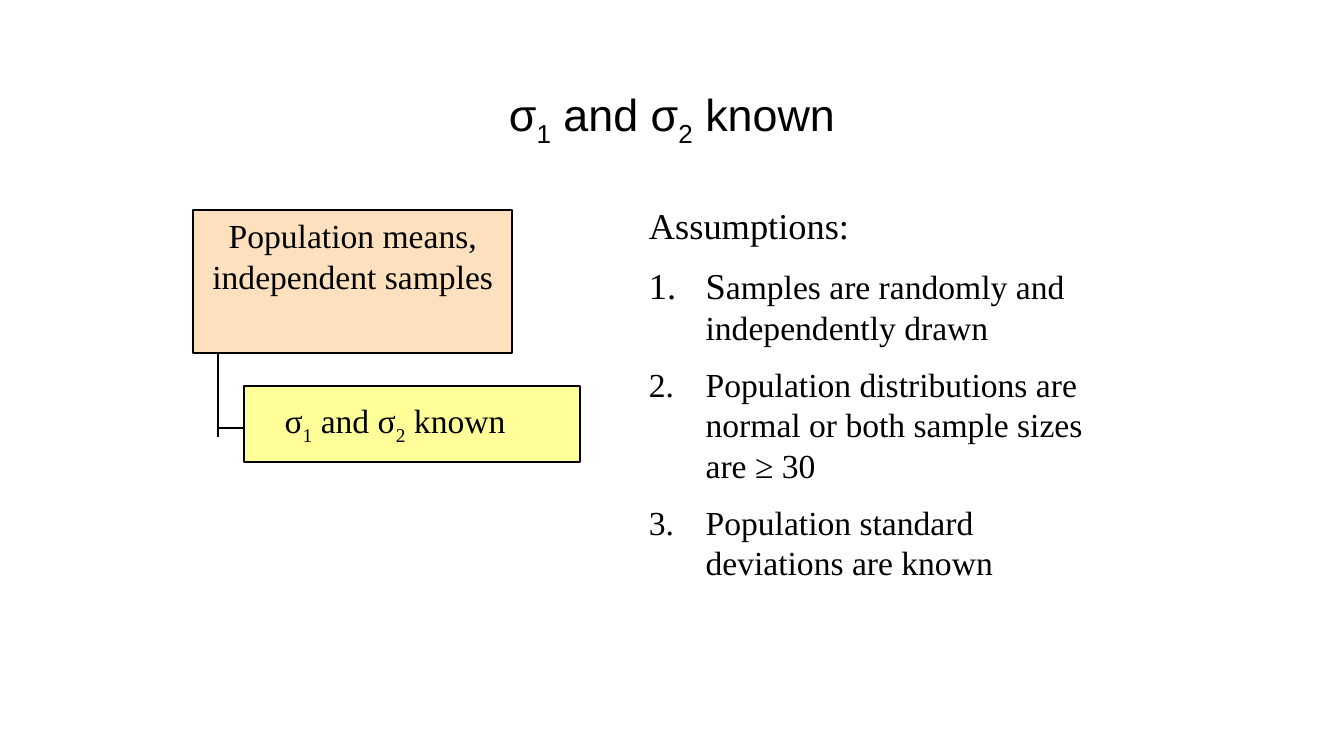
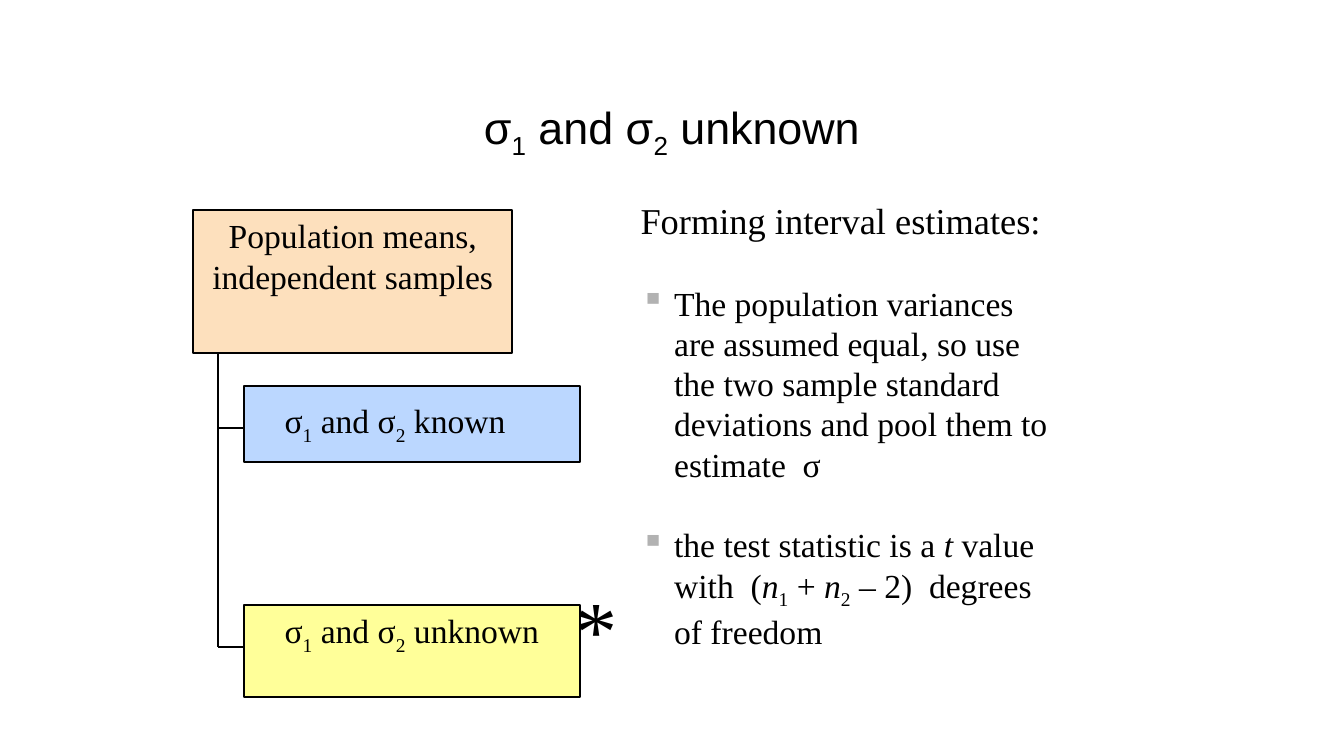
import lxml.etree
import pptx
import pptx.dml.color
import pptx.enum.shapes
import pptx.enum.text
import pptx.oxml.ns
import pptx.util

PX = 9525
COLORS = {
    "ink": "000000",
    "peach": "FDE0BD",
    "yellow": "FFFF99",
    "blue": "BBD7FF",
    "bullet": "B2B2B2",
}
SERIF, SANS = "Times New Roman", "Arial"
ALIGN = pptx.enum.text.PP_ALIGN
ANCHOR = pptx.enum.text.MSO_ANCHOR

SIGMAS = [("σ", ""), ("1", "sub"), (" and σ", ""), ("2", "sub")]
KNOWN = SIGMAS + [(" known", "")]
UNKNOWN = SIGMAS + [(" unknown", "")]

ROOT_TEXT = "Population means, independent samples"
ROOT_BOX = (184, 200, 304, 136)
TRUNK_X, BRANCH_X, BRANCH_W, BRANCH_DROP = 208, 232, 320, 40
BODY_W = 464

SLIDES = [
    {
        "title": KNOWN,
        "title_h": 96,
        "branches": [
            {"runs": KNOWN, "top": 368, "height": 72, "inset": 13, "fill": "yellow"},
        ],
        "trunk_end": 416,
        "body": {
            "box": (608, 188, BODY_W, 374),
            "right": 10,
            "heading": "Assumptions:",
            "items": [
                [("S", "lead"), ("amples are randomly and independently drawn", "")],
                "Population distributions are normal or both sample sizes are ≥ 30",
                "Population standard deviations are known",
            ],
            "numbered": True,
            "hang": 54,
            "before": 6,
            "after": 6,
        },
    },
    {
        "title": UNKNOWN,
        "title_h": 120,
        "branches": [
            {"runs": KNOWN, "top": 368, "height": 72, "inset": 13, "fill": "blue"},
            {"runs": UNKNOWN, "top": 576, "height": 88, "inset": 5, "fill": "yellow"},
        ],
        "trunk_end": 616,
        "body": {
            "box": (600, 184, BODY_W, 443),
            "right": 58,
            "heading": "Forming interval estimates:",
            "items": [
                "The population variances are assumed equal, so use the two sample "
                "standard deviations and pool them to estimate  σ",
                [("the test statistic is a ", ""), ("t", "italic"), (" value with  (", ""),
                 ("n", "italic"), ("1", "sub"), (" + ", ""), ("n", "italic"),
                 ("2", "sub"), (" – 2)  degrees of freedom", "")],
            ],
            "numbered": False,
            "hang": 32,
            "before": 28.8,
            "after": 0,
        },
        "star": (536, 544, 64, 106),
    },
]


def px(*lengths):
    return [pptx.util.Emu(n * PX) for n in lengths]


def rgb(name):
    return pptx.dml.color.RGBColor.from_string(COLORS[name])


def write(p, text, size=24, font=SERIF, align=ALIGN.LEFT, before=0, after=0):
    p.alignment = align
    p.space_before, p.space_after = pptx.util.Pt(before), pptx.util.Pt(after)
    for part, style in [(text, "")] if isinstance(text, str) else text:
        r = p.add_run()
        r.text = part
        r.font.name = font
        r.font.size = pptx.util.Pt(26 if style == "lead" else size)
        r.font.color.rgb = rgb("ink")
        if style == "italic":
            r.font.italic = True
        if style == "sub":
            r.font._element.set("baseline", "-25000")


def frame(sp, left=10, top=5, right=10, anchor=ANCHOR.TOP):
    tf = sp.text_frame
    tf.word_wrap = True
    tf.vertical_anchor = anchor
    tf.margin_left, tf.margin_top, tf.margin_right = px(left, top, right)
    return tf


def add_bullet(p, hang, numbered):
    pPr = p._p.get_or_add_pPr()
    pPr.set("marL", str(hang * PX))
    pPr.set("indent", str(-hang * PX))

    def child(parent, tag, **attrs):
        return lxml.etree.SubElement(parent, pptx.oxml.ns.qn(tag), **attrs)

    if numbered:
        child(pPr, "a:buAutoNum", type="arabicPeriod")
    else:
        child(child(pPr, "a:buClr"), "a:srgbClr", val=COLORS["bullet"])
        child(pPr, "a:buChar", char="▪")


def add_title(slide, runs, height):
    sp = slide.shapes.title
    sp.left, sp.top, sp.width, sp.height = px(232, 64, 816, height)
    tf = frame(sp, anchor=ANCHOR.MIDDLE)
    write(tf.paragraphs[0], runs, size=32, font=SANS, align=ALIGN.CENTER)


def add_box(slide, box, fill, text, align, **margins):
    sp = slide.shapes.add_shape(pptx.enum.shapes.MSO_SHAPE.RECTANGLE, *px(*box))
    sp.shadow.inherit = False
    sp.fill.solid()
    sp.fill.fore_color.rgb = rgb(fill)
    sp.line.color.rgb = rgb("ink")
    sp.line.width = pptx.util.Pt(1.5)
    write(frame(sp, **margins).paragraphs[0], text, align=align)


def add_line(slide, x1, y1, x2, y2):
    line = slide.shapes.add_connector(
        pptx.enum.shapes.MSO_CONNECTOR.STRAIGHT, *px(x1, y1, x2, y2))
    line.line.color.rgb = rgb("ink")
    line.line.width = pptx.util.Pt(1.5)
    lxml.etree.SubElement(line._element.spPr, pptx.oxml.ns.qn("a:effectLst"))


def add_tree(slide, branches, trunk_end):
    add_box(slide, ROOT_BOX, "peach", ROOT_TEXT, ALIGN.CENTER)
    add_line(slide, TRUNK_X, ROOT_BOX[1] + ROOT_BOX[3], TRUNK_X, trunk_end)
    for b in branches:
        add_box(slide, (BRANCH_X, b["top"], BRANCH_W, b["height"]), b["fill"],
                b["runs"], ALIGN.LEFT, left=39, top=b["inset"])
        y = b["top"] + BRANCH_DROP
        add_line(slide, TRUNK_X, y, BRANCH_X, y)


def add_body(slide, body):
    tf = frame(slide.shapes.add_textbox(*px(*body["box"])), right=body["right"])
    spacing = {"before": body["before"], "after": body["after"]}
    first_before = body["before"] if body["numbered"] else 0
    write(tf.paragraphs[0], body["heading"], size=26,
          before=first_before, after=body["after"])
    for item in body["items"]:
        p = tf.add_paragraph()
        write(p, item, **spacing)
        add_bullet(p, body["hang"], body["numbered"])


def main():
    prs = pptx.Presentation()
    prs.slide_width, prs.slide_height = px(1280, 720)
    for data in SLIDES:
        slide = prs.slides.add_slide(prs.slide_layouts[5])
        add_title(slide, data["title"], data["title_h"])
        add_tree(slide, data["branches"], data["trunk_end"])
        add_body(slide, data["body"])
        if "star" in data:
            tf = frame(slide.shapes.add_textbox(*px(*data["star"])))
            write(tf.paragraphs[0], "*", size=60, align=ALIGN.CENTER)
    prs.save("out.pptx")


if __name__ == "__main__":
    main()
